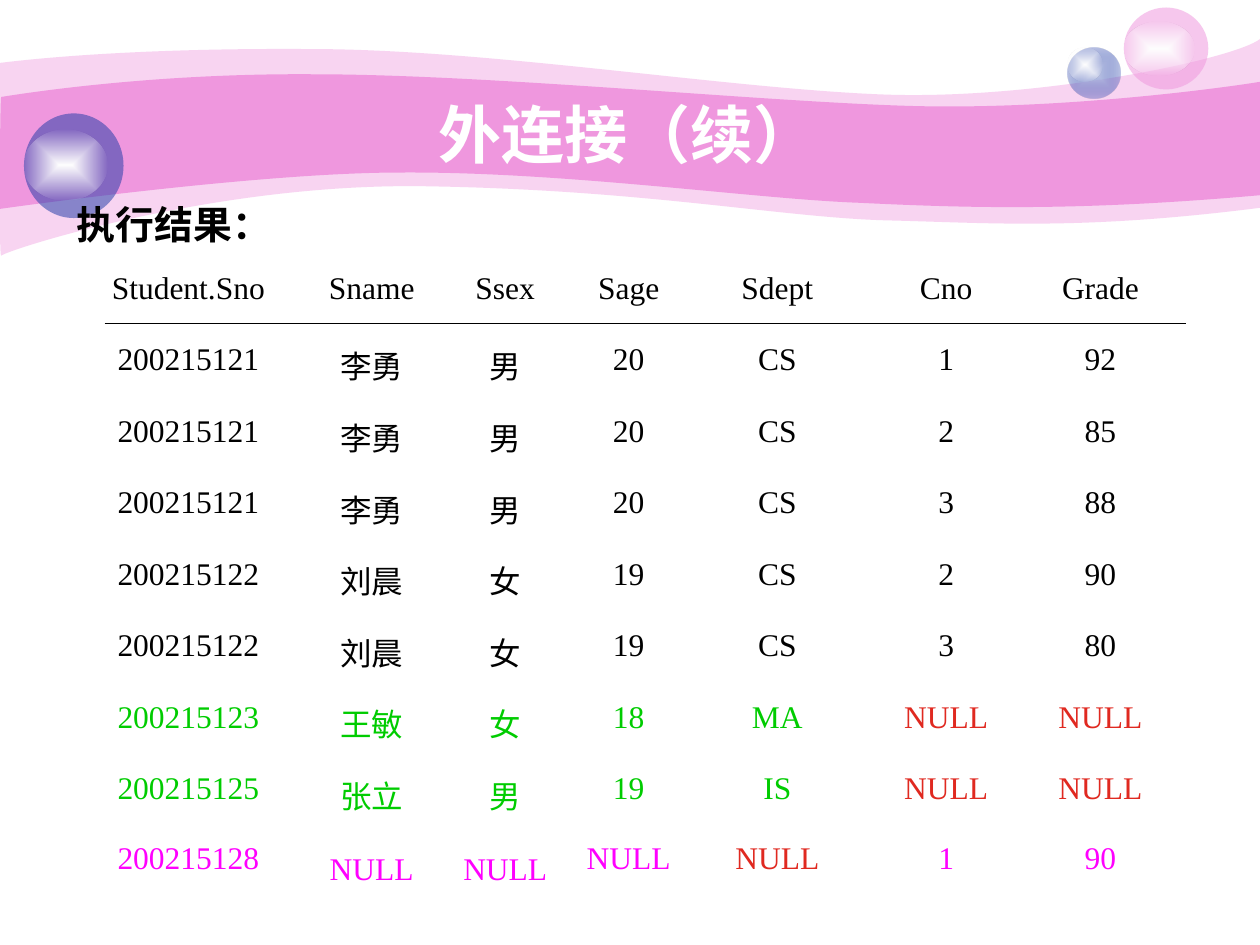
from lxml.etree import SubElement
from pptx import Presentation
from pptx.dml.color import RGBColor
from pptx.enum.shapes import MSO_CONNECTOR, MSO_SHAPE
from pptx.enum.text import MSO_ANCHOR, PP_ALIGN
from pptx.oxml import parse_xml
from pptx.oxml.ns import nsdecls, qn
from pptx.util import Inches, Pt

WIDE, HIGH = Inches(10), Inches(7.5)
WHITE = RGBColor(0xFF, 0xFF, 0xFF)
BLACK = RGBColor(0x00, 0x00, 0x00)
PINK = RGBColor(0xEF, 0x97, 0xDE)
BLUE = RGBColor(0x23, 0x3D, 0xA9)
PALE = RGBColor(0xC7, 0xCE, 0xE9)
GREEN = RGBColor(0x00, 0xCC, 0x00)
RED = RGBColor(0xE0, 0x29, 0x20)
ROSE = RGBColor(0xFF, 0x00, 0xFF)

# Waves: a start, three curves along the top, a straight right side,
# then four curves back to the start, in hundredths of an inch.
OUTER = [(0, 50), (24, 47), (107, 38), (247, 39), (386, 39), (575, 70),
         (699, 75), (822, 80), (980, 47), (1000, 31), (1000, 165),
         (858, 183), (787, 177), (705, 175), (622, 173), (515, 151),
         (343, 148), (172, 144), (4, 199), (1, 203), (-1, 208), (0, 75),
         (0, 50)]
INNER = [(1, 77), (2, 77), (110, 58), (248, 59), (386, 59), (595, 80),
         (718, 84), (841, 88), (976, 69), (1000, 65), (1000, 155),
         (853, 168), (765, 165), (682, 161), (599, 158), (447, 136),
         (317, 137), (203, 137), (-2, 166), (-1, 166), (0, 166), (0, 77),
         (1, 77)]
SIDE = 9  # place of the straight side among the segments

COLS = [18.1, 11, 10.2, 9.4, 14.2, 12.6, 11.9]  # % of slide width
HEAD = "Student.Sno Sname Ssex Sage Sdept Cno Grade"
# Row text, its colour, and the columns shown in red
ROWS = [
    (HEAD, BLACK, ()),
    ("200215121 李勇 男 20 CS 1 92", BLACK, ()),
    ("200215121 李勇 男 20 CS 2 85", BLACK, ()),
    ("200215121 李勇 男 20 CS 3 88", BLACK, ()),
    ("200215122 刘晨 女 19 CS 2 90", BLACK, ()),
    ("200215122 刘晨 女 19 CS 3 80", BLACK, ()),
    ("200215123 王敏 女 18 MA NULL NULL", GREEN, (5, 6)),
    ("200215125 张立 男 19 IS NULL NULL", GREEN, (5, 6)),
    ("200215128 NULL NULL NULL NULL 1 90", ROSE, (4,)),
]


def across(share):
    return round(WIDE * share / 100)


def down(share):
    return round(HIGH * share / 100)


def place(x, y, w, h):
    """Turn percentages of the slide into a box."""
    return across(x), down(y), across(w), down(h)


def fade(shape, alpha):
    tint = shape.fill._xPr.find(qn("a:solidFill"))[0]
    SubElement(tint, qn("a:alpha")).set("val", str(alpha * 1000))


def paint(shape, color, alpha=100):
    shape.shadow.inherit = False
    shape.line.fill.background()
    shape.fill.solid()
    shape.fill.fore_color.rgb = color
    if alpha < 100:
        fade(shape, alpha)


def glow(shape, inner, outer, alpha):
    """Fill from the centre out, ending in a see-through colour."""
    paint(shape, inner)
    solid = shape.fill._xPr.find(qn("a:solidFill"))
    solid.getparent().replace(solid, parse_xml(
        f'<a:gradFill {nsdecls("a")} rotWithShape="1"><a:gsLst>'
        f'<a:gs pos="0"><a:srgbClr val="{inner}"/></a:gs>'
        f'<a:gs pos="100000"><a:srgbClr val="{outer}">'
        f'<a:alpha val="{alpha * 1000}"/></a:srgbClr></a:gs></a:gsLst>'
        '<a:path path="rect"><a:fillToRect l="50000" t="50000" '
        'r="50000" b="50000"/></a:path></a:gradFill>'))


def add_wave(slide, points, alpha):
    pen = slide.shapes.build_freeform(*points[0], scale=Inches(0.01))
    pen.add_line_segments(points[1:], close=True)
    shape = pen.convert_to_shape()
    steps = list(shape._element.iter(qn("a:lnTo")))
    curved = steps[:SIDE] + steps[SIDE + 1:]
    for i in range(0, len(curved), 3):
        trio = curved[i:i + 3]
        curve = trio[0].makeelement(qn("a:cubicBezTo"))
        trio[0].addprevious(curve)
        for step in trio:
            curve.append(step[0])
            step.getparent().remove(step)
    paint(shape, PINK, alpha)


def add_disc(slide, box):
    return slide.shapes.add_shape(MSO_SHAPE.OVAL, *place(*box))


def add_shine(slide, box):
    glow(add_disc(slide, box), WHITE, WHITE, 0)


def style(para, size, color, name, bold=False):
    for run in para.runs:
        font = run.font
        font.size, font.name, font.bold = Pt(size), name, bold
        font.color.rgb = color


def add_label(slide, box, text, size, color, align, anchor):
    frame = slide.shapes.add_textbox(*place(*box)).text_frame
    frame.word_wrap = True
    frame.vertical_anchor = anchor
    frame.text = text
    para = frame.paragraphs[0]
    para.alignment = align
    style(para, size, color, "Arial", True)


def write(para, text, color):
    para.text = text
    para.alignment = PP_ALIGN.CENTER
    style(para, 18, color, "Times New Roman")


def add_grid(slide):
    """Draw the result table; its last row holds two records."""
    count = len(ROWS) - 1
    box = place(5.9, 28, sum(COLS), 70.27)
    table = slide.shapes.add_table(count, len(COLS), *box).table
    table.first_row = table.horz_banding = False
    for col, share in zip(table.columns, COLS):
        col.width = across(share)
    for row in table.rows:
        row.height = down(7.57)
    table.rows[count - 1].height = down(17.33)
    for r, (line, color, reds) in enumerate(ROWS):
        for c, text in enumerate(line.split()):
            cell = table.cell(min(r, count - 1), c)
            cell.fill.background()
            frame = cell.text_frame
            para = frame.paragraphs[0]
            if r == count:
                para = frame.add_paragraph()
                para.space_before = Pt(20)
            write(para, text, RED if c in reds else color)


def add_rule(slide, left, right, y):
    rule = slide.shapes.add_connector(
        MSO_CONNECTOR.STRAIGHT, across(left), down(y), across(right), down(y))
    rule.line.color.rgb = BLACK
    rule.line.width = Pt(0.75)
    SubElement(rule._element.spPr, qn("a:effectLst"))


def main():
    deck = Presentation()
    deck.slide_width, deck.slide_height = WIDE, HIGH
    slide = deck.slides.add_slide(deck.slide_layouts[6])
    add_wave(slide, OUTER, 41)
    add_wave(slide, INNER, 100)
    glow(add_disc(slide, (84.7, 5.07, 4.2, 5.33)), PALE, BLUE, 31)
    add_shine(slide, (84.7, 5.07, 2.8, 3.6))
    paint(add_disc(slide, (89.2, 0.8, 6.7, 8.67)), PINK, 53)
    add_shine(slide, (89.2, 2.27, 5.6, 5.73))
    paint(add_disc(slide, (1.9, 12, 7.9, 11.07)), BLUE, 53)
    add_shine(slide, (1.9, 13.73, 6.6, 7.47))
    add_label(slide, (10, 10, 80.8, 8.27), "外连接（续） ", 36, WHITE,
              PP_ALIGN.CENTER, MSO_ANCHOR.MIDDLE)
    add_label(slide, (5.1, 20.53, 44.2, 6.53), "执行结果： ", 22.2, BLACK,
              PP_ALIGN.JUSTIFY, MSO_ANCHOR.TOP)
    add_grid(slide)
    add_rule(slide, 8.3, 94.1, 34.27)
    deck.save("out.pptx")


if __name__ == "__main__":
    main()
